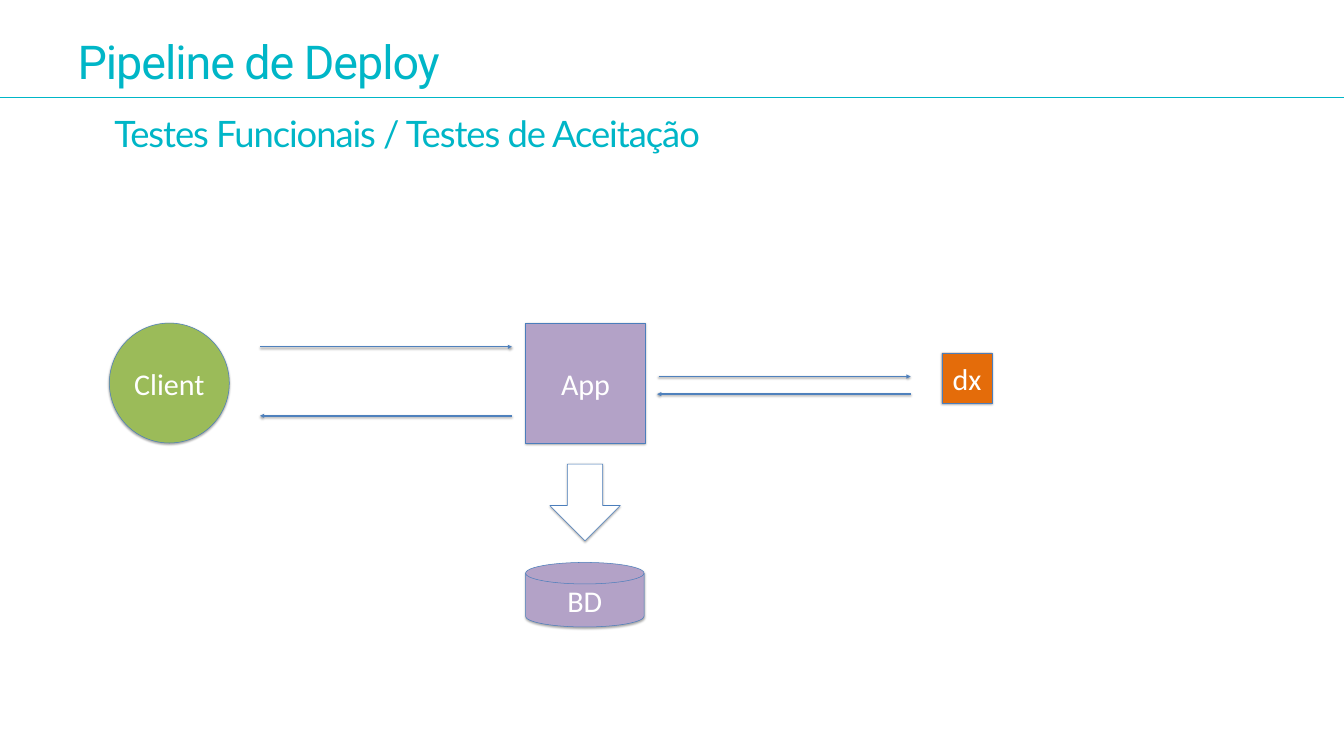
from lxml.etree import SubElement
from pptx import Presentation
from pptx.dml.color import RGBColor
from pptx.enum.shapes import MSO_CONNECTOR, MSO_SHAPE
from pptx.enum.text import MSO_ANCHOR, MSO_AUTO_SIZE, PP_ALIGN
from pptx.oxml.ns import qn
from pptx.util import Inches, Pt

COLORS = {
    "teal": "00B6C7", "green": "9BBB59", "purple": "B3A2C7", "orange": "E46C0A",
    "white": "FFFFFF", "outline": "4B7EBC", "arrow": "4F81BD",
}


def color(name):
    return RGBColor.from_string(COLORS[name])


def add_line(start, end, color_name):
    line = slide.shapes.add_connector(
        MSO_CONNECTOR.STRAIGHT, *[Inches(v) for v in (*start, *end)])
    line.line.color.rgb = color(color_name)
    line.line.width = Pt(2)
    return line


prs = Presentation()
prs.slide_width, prs.slide_height = Inches(26.67), Inches(15)
slide = prs.slides.add_slide(prs.slide_layouts[5])

# Header rule, without the theme shadow
header_rule = add_line((0, 1.93), (26.67, 1.93), "teal")
SubElement(header_rule._element.spPr, qn("a:effectLst"))

# Title and subtitle
title = slide.shapes.title
title.left, title.top, title.width, title.height = [
    Inches(v) for v in (1.44, 0.6, 7.89, 1.22)]
subtitle = slide.shapes.add_textbox(*[Inches(v) for v in (2.17, 2.16, 11.86, 0.98)])
frame_format = {"word_wrap": False, "vertical_anchor": MSO_ANCHOR.TOP,
                "auto_size": MSO_AUTO_SIZE.SHAPE_TO_FIT_TEXT}
for heading, text, font_format in [
    (title, "Pipeline de Deploy", {"name": "Roboto", "size": Pt(66.6)}),
    (subtitle, "Testes Funcionais / Testes de Aceitação", {"name": "Lato", "size": Pt(52)}),
]:
    for key, value in frame_format.items():
        setattr(heading.text_frame, key, value)
    paragraph = heading.text_frame.paragraphs[0]
    paragraph.alignment = PP_ALIGN.LEFT
    run = paragraph.add_run()
    run.text = text
    for key, value in font_format.items():
        setattr(run.font, key, value)
    run.font.color.rgb = color("teal")
    run._r.get_or_add_rPr().set("spc", "-150")  # tighter letter spacing

# Components, with the soft shadow of the theme
for kind, box, fill, label in [
    (MSO_SHAPE.OVAL, (2.17, 6.41, 2.38, 2.38), "green", "Client"),
    (MSO_SHAPE.RECTANGLE, (10.43, 6.41, 2.38, 2.38), "purple", "App"),
    (MSO_SHAPE.FLOWCHART_MAGNETIC_DISK, (10.43, 11.16, 2.35, 1.28), "purple", "BD"),
    (MSO_SHAPE.DOWN_ARROW, (10.91, 9.21, 1.4, 1.52), "white", None),
    (MSO_SHAPE.RECTANGLE, (18.69, 7, 1, 1), "orange", "dx"),
]:
    component = slide.shapes.add_shape(kind, *[Inches(v) for v in box])
    component.fill.solid()
    component.fill.fore_color.rgb = color(fill)
    component.line.color.rgb = color("outline")
    component.line.width = Pt(0.75)
    if label:
        component.text_frame.vertical_anchor = MSO_ANCHOR.MIDDLE
        paragraph = component.text_frame.paragraphs[0]
        paragraph.alignment = PP_ALIGN.CENTER
        run = paragraph.add_run()
        run.text = label
        for key, value in {"name": "Calibri", "size": Pt(43)}.items():
            setattr(run.font, key, value)
        run.font.color.rgb = color("white")

# Requests to the right, responses to the left
for start_x, end_x, y in [
    (5.16, 10.16, 6.88), (10.16, 5.16, 8.25),
    (13.07, 18.07, 7.47), (18.07, 13.04, 7.82),
]:
    message = add_line((start_x, y), (end_x, y), "arrow")
    SubElement(message.line._get_or_add_ln(), qn("a:tailEnd"), type="triangle")

prs.save("out.pptx")
